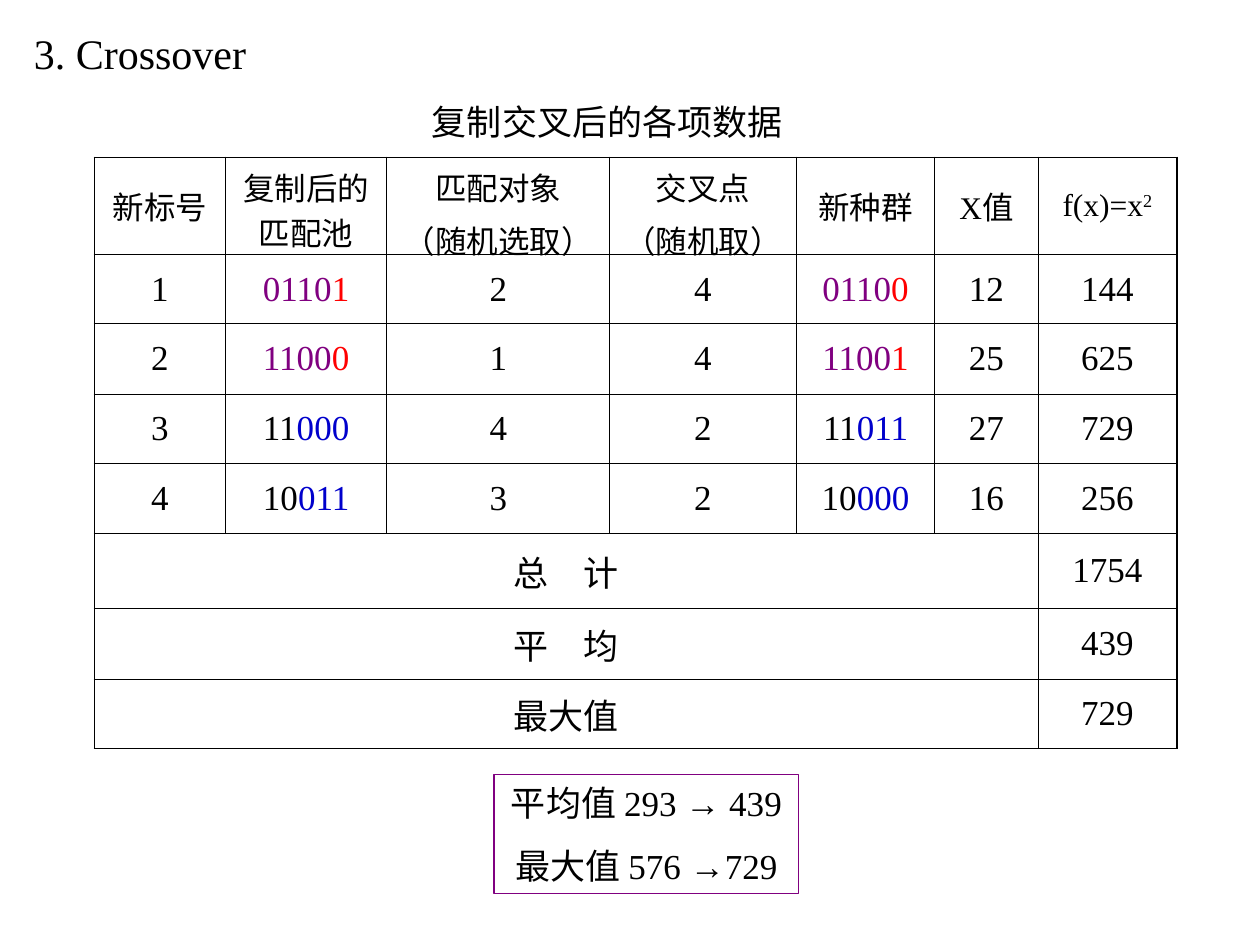
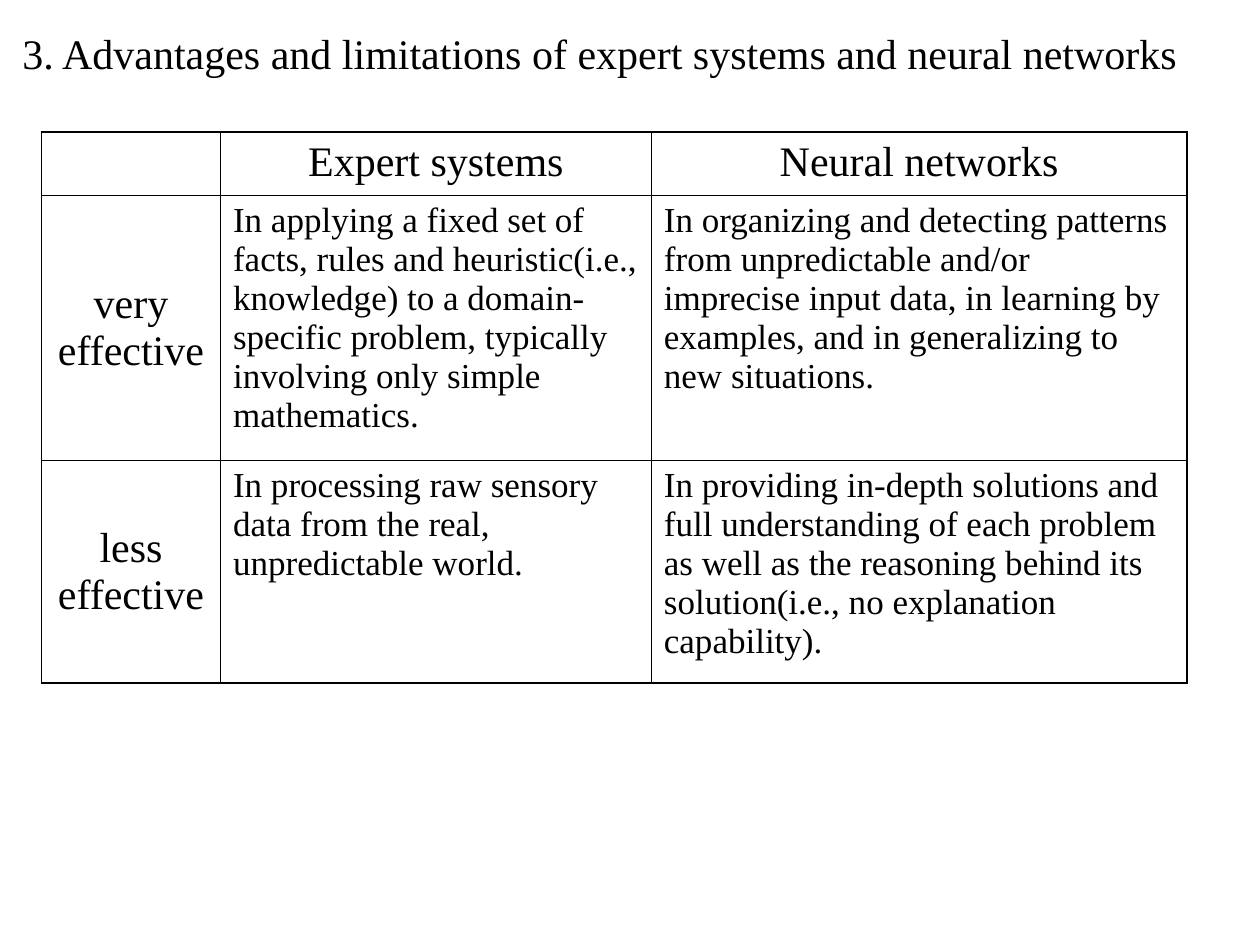
from dataclasses import dataclass
from typing import NamedTuple, Optional

from lxml.etree import SubElement
from pptx import Presentation
from pptx.dml.color import RGBColor
from pptx.enum.shapes import MSO_SHAPE
from pptx.enum.text import MSO_ANCHOR, PP_ALIGN
from pptx.oxml.ns import qn
from pptx.util import Inches, Pt

# Shared colours, fonts and line widths
BLACK = RGBColor(0x00, 0x00, 0x00)
PURPLE = RGBColor(0x80, 0x00, 0x80)
RED = RGBColor(0xFF, 0x00, 0x00)
BLUE = RGBColor(0x00, 0x00, 0xCC)
SERIF = "Times New Roman"
SANS = "Arial"
TITLE_SIZE = 24
BODY_SIZE = 20
OUTER_LINE = Pt(1.08)
INNER_LINE = Pt(0.45)


class Span(NamedTuple):
    text: str
    color: RGBColor = BLACK
    font: str = SERIF
    superscript: bool = False


class Box(NamedTuple):
    left: float
    top: float
    width: float
    height: float


class TextStyle(NamedTuple):
    size: float
    space_before: float = 0
    align: PP_ALIGN = PP_ALIGN.LEFT
    anchor: MSO_ANCHOR = MSO_ANCHOR.TOP


Line = tuple[Span, ...]


@dataclass
class Entry:
    """Content of one table cell, optionally spanning several columns."""
    lines: list[Line]
    style: TextStyle
    columns: int = 1


@dataclass
class Grid:
    left: float
    top: float
    widths: list[float]
    heights: list[float]
    rows: list[list[Optional[Entry]]]


TITLE = TextStyle(TITLE_SIZE, anchor=MSO_ANCHOR.MIDDLE)
CAPTION = TextStyle(BODY_SIZE)
RESULT = TextStyle(BODY_SIZE, 12.5, PP_ALIGN.CENTER)
COLUMN_HEAD = TextStyle(18, 4.5, PP_ALIGN.CENTER, MSO_ANCHOR.MIDDLE)
VALUE = TextStyle(BODY_SIZE, 5, PP_ALIGN.CENTER, MSO_ANCHOR.MIDDLE)
SYSTEM_HEAD = TextStyle(24, 6, PP_ALIGN.CENTER)
ROW_HEAD = SYSTEM_HEAD._replace(anchor=MSO_ANCHOR.MIDDLE)
DETAIL = TextStyle(BODY_SIZE, 5)


def entry(text: str, style: TextStyle, columns: int = 1) -> Entry:
    return Entry([(Span(line),) for line in text.split("\n")], style, columns)


def write_text(text_frame, lines: list[Line], style: TextStyle) -> None:
    for index, line in enumerate(lines):
        paragraph = text_frame.paragraphs[0] if index == 0 else text_frame.add_paragraph()
        paragraph.alignment = style.align
        paragraph.space_before = Pt(style.space_before)
        for span in line:
            run = paragraph.add_run()
            run.text = span.text
            run.font.name = span.font
            run.font.size = Pt(style.size)
            run.font.color.rgb = span.color
            if span.superscript:
                run._r.get_or_add_rPr().set("baseline", "30000")


def add_text(slide, box: Box, text: str, style: TextStyle) -> None:
    shape = slide.shapes.add_textbox(*map(Inches, box))
    shape.text_frame.word_wrap = True
    shape.text_frame.vertical_anchor = style.anchor
    write_text(shape.text_frame, [(Span(text),)], style)


def add_border(cell, side: str, width: int) -> None:
    line = SubElement(cell._tc.get_or_add_tcPr(), qn(f"a:ln{side}"), w=str(int(width)))
    fill = SubElement(line, qn("a:solidFill"))
    SubElement(fill, qn("a:srgbClr"), val=str(BLACK))


def add_grid(slide, grid: Grid) -> None:
    """Draw a table with a heavier outer frame and no fill."""
    row_count, column_count = len(grid.heights), len(grid.widths)
    table = slide.shapes.add_table(
        row_count, column_count, Inches(grid.left), Inches(grid.top),
        Inches(sum(grid.widths)), Inches(sum(grid.heights))).table
    table.first_row = table.horz_banding = False
    for column, width in zip(table.columns, grid.widths):
        column.width = Inches(width)
    for row, height in zip(table.rows, grid.heights):
        row.height = Inches(height)

    for row_index, entries in enumerate(grid.rows):
        column_index = 0
        for item in entries:
            cell = table.cell(row_index, column_index)
            columns = item.columns if item else 1
            end = column_index + columns
            if columns > 1:
                cell.merge(table.cell(row_index, end - 1))
            # Borders go left, right, top, bottom, as the schema orders them
            on_frame = {"L": column_index == 0, "R": end == column_count,
                        "T": row_index == 0, "B": row_index == row_count - 1}
            for side, outer in on_frame.items():
                add_border(cell, side, OUTER_LINE if outer else INNER_LINE)
            cell.fill.background()
            if item:
                cell.vertical_anchor = item.style.anchor
                write_text(cell.text_frame, item.lines, item.style)
            column_index = end


# Crossover slide
class Individual(NamedTuple):
    parent: str
    mate: int
    point: int
    child: str
    x: int
    head_color: RGBColor
    tail_color: RGBColor


POPULATION = [
    Individual("01101", 2, 4, "01100", 12, PURPLE, RED),
    Individual("11000", 1, 4, "11001", 25, PURPLE, RED),
    Individual("11000", 4, 2, "11011", 27, BLACK, BLUE),
    Individual("10011", 3, 2, "10000", 16, BLACK, BLUE),
]
COLUMN_NAMES = ["新标号", "复制后的匹配池", "匹配对象\n（随机选取）",
                "交叉点\n（随机取）", "新种群", "X值"]
SUMMARY = [("总　计", "1754"), ("平　均", "439"), ("最大值", "729")]
IMPROVEMENTS = [("平均值 293 ", " 439"), ("最大值 576 ", "729")]


def chromosome(bits: str, individual: Individual) -> Entry:
    """Colour the bits before and after the crossover point."""
    point = individual.point
    return Entry([(Span(bits[:point], individual.head_color),
                   Span(bits[point:], individual.tail_color))], VALUE)


def individual_row(number: int, individual: Individual) -> list[Entry]:
    return [entry(str(number), VALUE),
            chromosome(individual.parent, individual),
            entry(str(individual.mate), VALUE),
            entry(str(individual.point), VALUE),
            chromosome(individual.child, individual),
            entry(str(individual.x), VALUE),
            entry(str(individual.x ** 2), VALUE)]


def build_crossover(slide) -> None:
    add_text(slide, Box(0.17, 0.17, 2.08, 0.5), "3. Crossover", TITLE)
    add_text(slide, Box(3.33, 0.75, 3, 0.44), "复制交叉后的各项数据", CAPTION)

    fitness = Entry([(Span("f(x)=x"), Span("2", superscript=True))], COLUMN_HEAD)
    header = [entry(name, COLUMN_HEAD) for name in COLUMN_NAMES] + [fitness]
    individuals = [individual_row(number, individual)
                   for number, individual in enumerate(POPULATION, 1)]
    totals = [[entry(name, VALUE, len(COLUMN_NAMES)), entry(value, VALUE)]
              for name, value in SUMMARY]
    add_grid(slide, Grid(
        0.75, 1.25,
        [1.04, 1.28, 1.77, 1.48, 1.1, 0.82, 1.1],
        [0.77, 0.55, 0.56, 0.55, 0.55, 0.6, 0.56, 0.55],
        [header, *individuals, *totals]))

    # Framed comparison of fitness before and after
    shape = slide.shapes.add_shape(
        MSO_SHAPE.RECTANGLE, *map(Inches, Box(3.92, 6.15, 2.42, 0.94)))
    shape.shadow.inherit = False
    shape.fill.background()
    shape.line.color.rgb = PURPLE
    shape.line.width = Pt(0.75)
    shape.text_frame.word_wrap = True
    shape.text_frame.vertical_anchor = RESULT.anchor
    write_text(shape.text_frame,
               [(Span(before), Span("→", font=SANS), Span(after))
                for before, after in IMPROVEMENTS], RESULT)


# Comparison slide
SYSTEMS = ["Expert systems", "Neural networks"]
COMPARISON = {
    "very effective": [
        "In applying a fixed set of facts, rules and heuristic(i.e., knowledge) to a "
        "domain-specific problem, typically involving only simple mathematics.",
        "In organizing and detecting patterns from unpredictable and/or imprecise input "
        "data, in learning by examples, and in generalizing to new situations.",
    ],
    "less effective": [
        "In processing raw sensory data from the real, unpredictable world.",
        "In providing in-depth solutions and full understanding of each problem as well "
        "as the reasoning behind its solution(i.e., no explanation capability).",
    ],
}


def build_comparison(slide) -> None:
    add_text(slide, Box(0.08, 0.08, 9.42, 0.67),
             "3. Advantages and limitations of expert systems and neural networks", TITLE)
    header = [None] + [entry(name, SYSTEM_HEAD) for name in SYSTEMS]
    body = [[entry(name, ROW_HEAD)] + [entry(text, DETAIL) for text in texts]
            for name, texts in COMPARISON.items()]
    add_grid(slide, Grid(0.33, 1.05, [1.42, 3.42, 4.25], [0.5, 2.1, 1.77],
                         [header, *body]))


def main() -> None:
    presentation = Presentation()
    presentation.slide_width = Inches(10)
    presentation.slide_height = Inches(7.5)
    blank_layout = presentation.slide_layouts[6]
    for build in (build_crossover, build_comparison):
        build(presentation.slides.add_slide(blank_layout))
    presentation.save("out.pptx")


if __name__ == "__main__":
    main()
